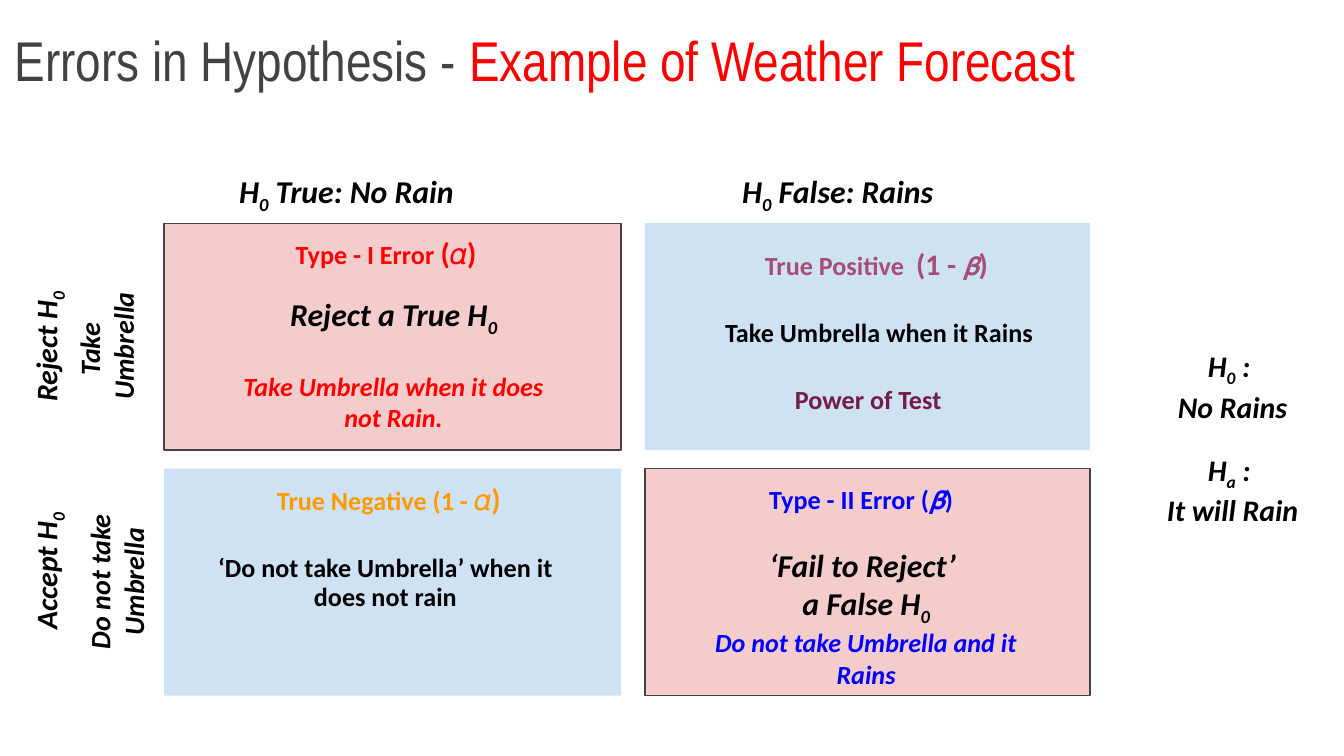
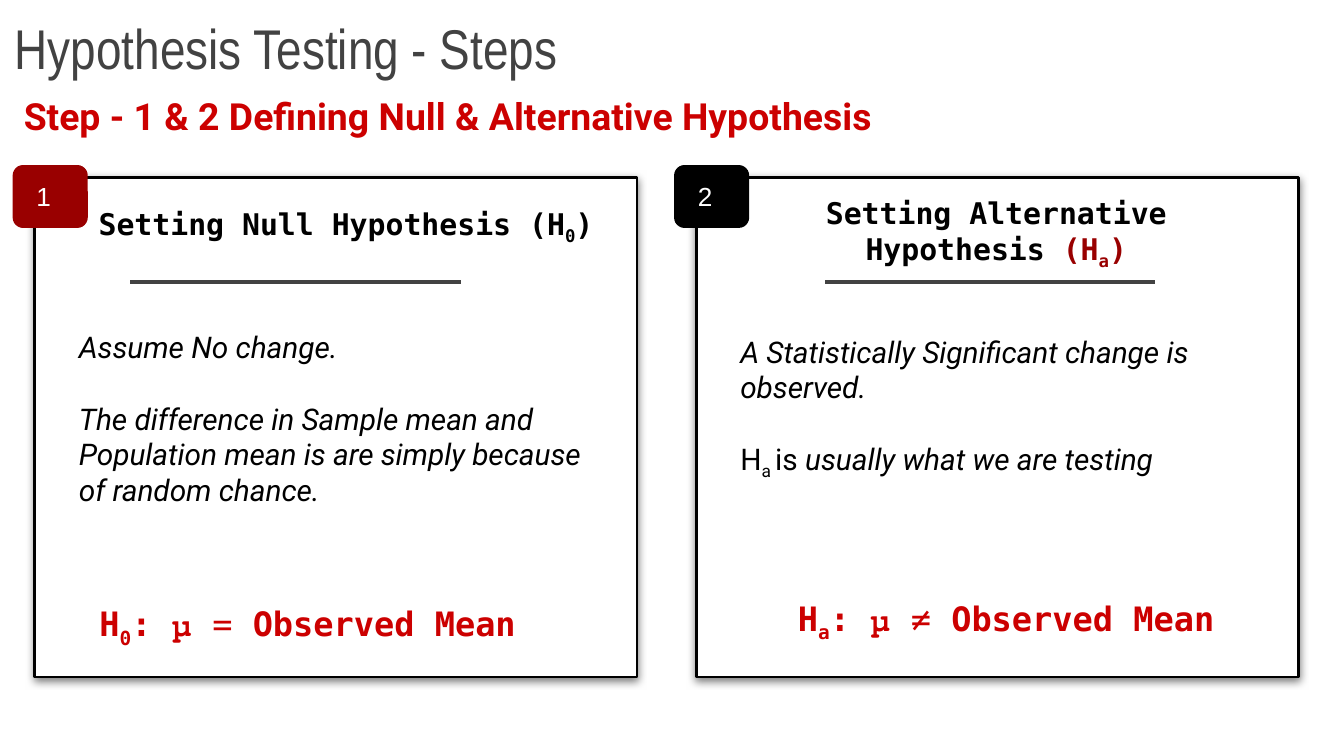
import lxml.etree
import pptx
import pptx.dml.color
import pptx.enum.shapes
import pptx.enum.text
import pptx.oxml.ns
import pptx.util

Cm = pptx.util.Cm
Pt = pptx.util.Pt
SHAPE = pptx.enum.shapes.MSO_SHAPE
ALIGN = pptx.enum.text.PP_ALIGN
ANCHOR = pptx.enum.text.MSO_ANCHOR
qn = pptx.oxml.ns.qn

COLORS = {
    "black": "000000", "white": "FFFFFF", "gray": "424242", "outline": "434343",
    "red": "FF0000", "crimson": "CC0000", "maroon": "990000", "blue": "0000FF",
    "orange": "FF9900", "mauve": "A64D79", "plum": "741B47",
    "error": "F4CCCC", "correct": "CFE2F3",
}
TITLE = dict(font="Arial Narrow", size=30, color="gray", anchor=ANCHOR.BOTTOM)
LABEL = dict(font="Calibri", bold=True, align=ALIGN.CENTER)
SLANTED = dict(LABEL, italic=True)
MONO = dict(font="DejaVu Sans Mono", bold=True, align=ALIGN.CENTER)


def rgb(name):
    return pptx.dml.color.RGBColor.from_string(COLORS[name])


def write(box, *lines, align=ALIGN.LEFT, anchor=ANCHOR.TOP, spacing=1.0, gap=0, indent=0.25, **style):
    """Lines are strings or lists of (text, changes); |x| is a subscript."""
    frame = box.text_frame
    frame.word_wrap = True
    frame.auto_size = pptx.enum.text.MSO_AUTO_SIZE.NONE
    frame.vertical_anchor = anchor
    frame.margin_left = Cm(indent)
    frame.margin_top = frame.margin_right = frame.margin_bottom = Cm(0.25)
    for number, line in enumerate(lines):
        para = frame.add_paragraph() if number else frame.paragraphs[0]
        para.alignment = align
        para.line_spacing = spacing
        para.space_before = Pt(gap if number else 0)
        for text, changes in [(line, {})] if isinstance(line, str) else line:
            look = {**style, **changes}
            for position, piece in enumerate(text.split("|")):
                if not piece:
                    continue
                span = para.add_run()
                span.text = piece
                span.font.name = look["font"]
                span.font.size = Pt(look["size"])
                span.font.bold = look.get("bold", False)
                span.font.italic = look.get("italic", False)
                span.font.color.rgb = rgb(look.get("color", "black"))
                if position % 2:
                    span._r.get_or_add_rPr().set("baseline", "-25000")


def place(box, left, top, width, height):
    box.left, box.top, box.width, box.height = Cm(left), Cm(top), Cm(width), Cm(height)
    return box


deck = pptx.Presentation()
deck.slide_width, deck.slide_height = Cm(25.4), Cm(14.29)

page = deck.slides.add_slide(deck.slide_layouts[5])
write(place(page.shapes.title, 0.03, -0.03, 23.67, 2.03),
      [("Errors in Hypothesis - ", {}), ("Example of Weather Forecast", {"color": "red"})], **TITLE)

for row, top in enumerate((4.22, 8.86)):
    for column, (left, width) in enumerate(((3.1, 8.64), (12.19, 8.41))):
        is_error = row == column
        cell = page.shapes.add_shape(SHAPE.RECTANGLE, Cm(left), Cm(top), Cm(width), Cm(4.29))
        cell.shadow.inherit = False
        cell.fill.solid()
        cell.fill.fore_color.rgb = rgb("error" if is_error else "correct")
        if is_error:
            cell.line.color.rgb = rgb("outline")
            cell.line.width = Pt(0.75)
        else:
            cell.line.fill.background()

big = {"size": 16}
beta = ("𝛃", {"bold": False, "italic": True})
outcomes = [
    ((2.34, 4.29, 9.91, 1.12), [("Type - I Error ", {}), ("(𝛼)", big)], "red", 0.85),
    ((3.2, 8.94, 8.41, 1.12), [("True Negative (1 - ", {}), ("𝛼)", big), (" ", {})], "orange", 0.85),
    ((12.5, 8.94, 7.77, 1.12), [("Type - II Error (", {}), beta, (")  ", {})], "blue", 0.95),
    ((12.83, 4.5, 7.47, 1.12), [("True Positive  ", {}), ("(1 - ", big), beta, (")", big)], "mauve", 0.85),
    ((3.4, 10.21, 7.77, 2.03), "‘Do not take Umbrella’ when it does not rain", "black", 0.95),
    ((12.73, 5.77, 7.77, 1.37), "Take Umbrella when it Rains", "black", 0.95),
    ((12.73, 7.04, 7.47, 1.12), "Power of Test ", "plum", 0.95),
]
for area, line, color, spacing in outcomes:
    box = page.shapes.add_textbox(*map(Cm, area))
    write(box, line, size=14, color=color, spacing=spacing, **LABEL)

captions = [
    ((2.51, 3, 8.08, 0.91), ["H|0| True: No Rain"], 17, 0),
    ((11.63, 3, 8.41, 0.91), ["H|0| False: Rains"], 17, 0),
    ((4.01, 5.33, 6.86, 2.79),
     ["Reject a True H|0|", [("Take Umbrella when it does not Rain.", {"size": 14, "color": "red"})]], 17, 17),
    ((12.75, 10.06, 7.24, 2.79),
     ["‘Fail to Reject’ ", "a False H|0|",
      [("Do not take Umbrella and it Rains", {"size": 14, "color": "blue"})]], 17, 0),
    ((20.73, 6.32, 5.13, 2.03), ["H|0| : ", "No Rains"], 16, 0),
    ((21.21, 8.28, 4.17, 2.41), ["H|a| : ", "It will Rain"], 16, 0),
]
for area, lines, size, gap in captions:
    write(page.shapes.add_textbox(*map(Cm, area)), *lines, size=size, gap=gap, **SLANTED)

row_labels = [
    ((-1.14, 6.1, 3.73, 0.91), ["Reject H|0|"], 16),
    ((-1.14, 10.34, 3.73, 0.91), ["Accept H|0|"], 16),
    ((0, 5.79, 3.73, 1.5), ["Take ", "Umbrella"], 15),
    ((-0.1, 10.54, 3.73, 0.91), ["Do not take", "Umbrella"], 15),
]
for area, lines, size in row_labels:
    box = page.shapes.add_textbox(*map(Cm, area))
    box.rotation = 270
    write(box, *lines, size=size, **SLANTED)

page = deck.slides.add_slide(deck.slide_layouts[3])
write(place(page.shapes.title, 0.03, 0.18, 14.96, 1.6), "Hypothesis Testing - Steps", **TITLE)
box = page.shapes.add_textbox(Cm(0.2), Cm(1.52), Cm(22.56), Cm(1.35))
write(box, "Step - 1 & 2 Defining Null & Alternative Hypothesis",
      font="Roboto", size=20, color="crimson", bold=True)

dark = {"color": "maroon"}
plain = {"bold": False}
cards = [
    dict(left=0.66, number="1", badge="maroon", rule=(2.46, 8.71),
         head=((1.22, 3.63, 10.64, 1.6), "Setting Null Hypothesis (H|0|)"),
         body=((1.24, 5.97, 10.03, 4.45),
               ["Assume No change.",
                "The difference in Sample mean and Population mean is are simply because of random chance."]),
         formula=((1.24, 11.15, 9.53, 0.91),
                  [("H|0|: ", {}), ("𝛍 = ", plain), ("Observed Mean ", {})])),
    dict(left=13.16, number="2", badge="black", rule=(15.6, 21.82),
         head=((13.94, 3.43, 9.78, 1.6), [("Setting Alternative Hypothesis ", {}), ("(H|a|)", dark)]),
         body=((13.74, 6.05, 10.31, 4.34),
               ["A Statistically Significant change is observed.",
                [("H|a |is ", {"italic": False}), ("usually what we are testing", {})]]),
         formula=((14.81, 11.05, 8.41, 0.91),
                  [("H|a|: ", {}), ("𝛍 ≠ ", plain), ("Observed Mean", {})])),
]
for index, card in enumerate(cards, start=1):
    panel = page.shapes.add_shape(SHAPE.RECTANGLE, Cm(card["left"]), Cm(3.35), Cm(11.38), Cm(9.45))
    panel.fill.solid()
    panel.fill.fore_color.rgb = rgb("white")
    panel.line.color.rgb = rgb("black")
    panel.line.width = Pt(1.5)
    panel.shadow.inherit = False
    shadow = lxml.etree.SubElement(
        panel._element.spPr.find(qn("a:effectLst")), qn("a:outerShdw"),
        blurRad=str(Pt(4.5)), dist=str(Pt(1.5)), dir="5400000", algn="bl", rotWithShape="0")
    tint = lxml.etree.SubElement(shadow, qn("a:srgbClr"), val=COLORS["black"])
    lxml.etree.SubElement(tint, qn("a:alpha"), val="50000")

    area, line = card["head"]
    write(page.shapes.add_textbox(*map(Cm, area)), line, size=16, **MONO)

    start, end = card["rule"]
    rule = page.shapes.add_connector(pptx.enum.shapes.MSO_CONNECTOR.STRAIGHT,
                                     Cm(start), Cm(5.33), Cm(end), Cm(5.33))
    rule.line.color.rgb = rgb("gray")
    rule.line.width = Pt(2.25)
    lxml.etree.SubElement(rule._element.spPr, qn("a:effectLst"))

    area, lines = card["body"]
    body = place(page.placeholders[index], *area)
    page.shapes._spTree.append(body._element)
    write(body, *lines, font="Roboto", size=16, italic=True, gap=19)
    for para in body.text_frame.paragraphs:
        properties = para._p.get_or_add_pPr()
        properties.set("marL", "0")
        properties.set("indent", "0")
        lxml.etree.SubElement(properties, qn("a:buNone"))

    area, line = card["formula"]
    write(page.shapes.add_textbox(*map(Cm, area)), line, size=18, color="crimson", **MONO)

    badge = page.shapes.add_shape(SHAPE.ROUNDED_RECTANGLE, Cm(card["left"] - 0.42), Cm(3.12), Cm(1.42), Cm(1.19))
    badge.shadow.inherit = False
    badge.fill.solid()
    badge.fill.fore_color.rgb = rgb(card["badge"])
    badge.line.fill.background()
    write(badge, card["number"], font="Arial", size=14, color="white", anchor=ANCHOR.MIDDLE, indent=0.39)

deck.save("out.pptx")
